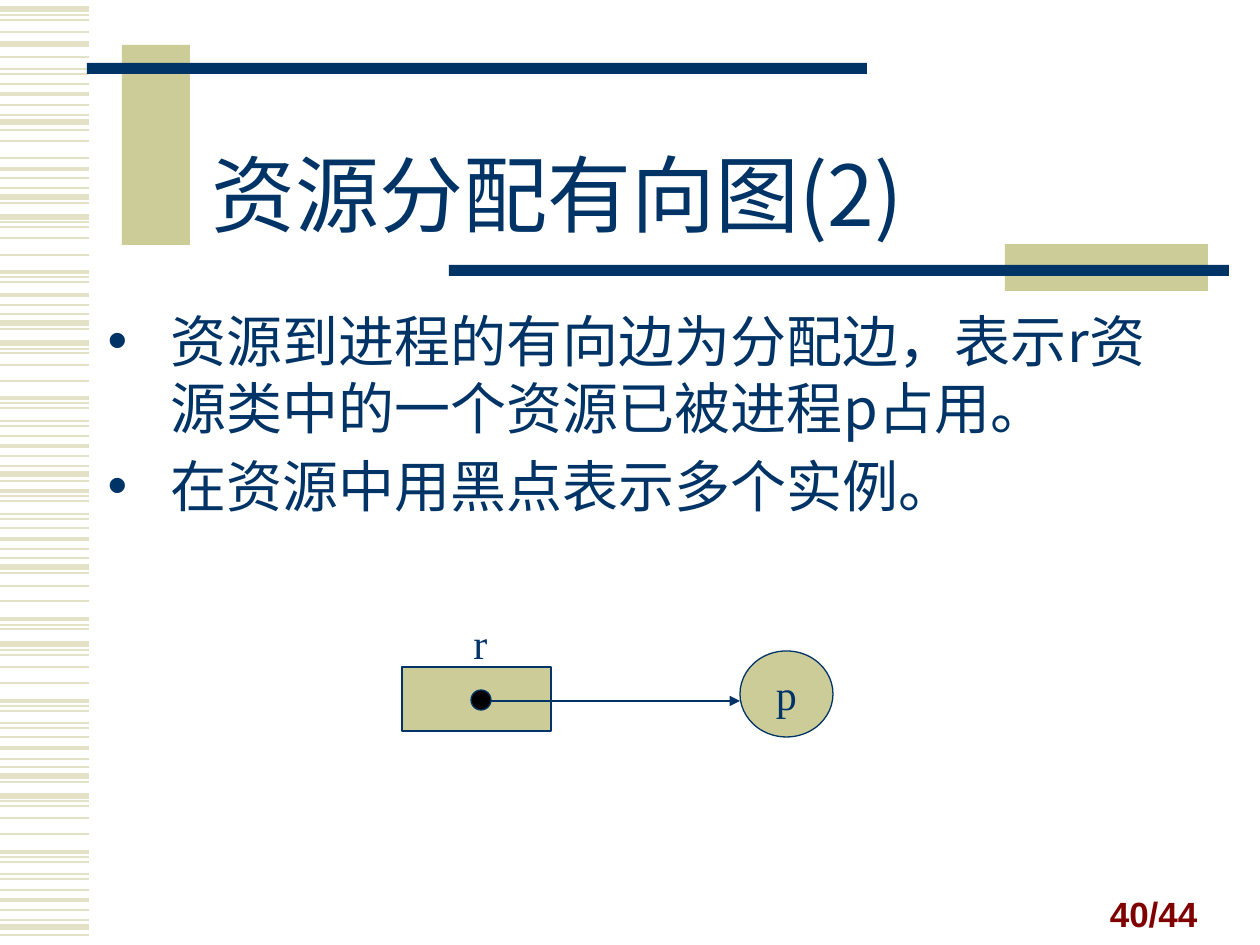
"""Build the slide on assignment edges in a resource allocation graph."""
import pptx
import pptx.util
import pptx.dml.color
import pptx.enum.shapes
import pptx.enum.text
import pptx.oxml.ns
from lxml import etree

SCALE = 914400 / 126
SHAPE = pptx.enum.shapes.MSO_SHAPE
ALIGN = pptx.enum.text.PP_ALIGN
ANCHOR = pptx.enum.text.MSO_ANCHOR
Pt = pptx.util.Pt

THEME = {
    "navy": "003366", "khaki": "CCCC99", "stripe": "E3E2C7",
    "black": "000000", "maroon": "800000",
    "title": 48, "body": 32, "label": 24, "number": 20,
    "outline": 0.75, "sans": "Noto Sans CJK SC",
    "serif": "Times New Roman", "plain": "Arial",
}

TITLE = "资源分配有向图(2)"
POINTS = [
    "资源到进程的有向边为分配边，表示r资源类中的一个资源已被进程p占用。",
    "在资源中用黑点表示多个实例。",
]
PAGE_NUMBER = "40/44"

STRIPE_WIDTH = 89
STRIPES = {
    0.75: [15, 69, 115, 188, 222, 277, 314, 349, 403, 421, 466, 496, 514, 558,
           625, 650, 706, 723, 767, 801, 857, 874, 920],
    1: [20, 32, 84, 141, 158, 227, 238, 255, 353, 365, 381, 436, 528, 586,
        601, 655, 667, 683, 737, 806, 818, 834, 890],
    1.5: [57, 74, 105, 130, 178, 203, 282, 305, 329, 408, 426, 456, 481, 501,
          519, 549, 573, 629, 711, 728, 759, 782, 862, 879, 910, 935],
    2.25: [94, 169, 272, 295, 398, 446, 491, 539, 619, 701, 748, 852, 900],
    3: [9, 44, 122, 197, 217, 323, 343, 474, 567, 644, 776, 796, 927],
}
BARS = [
    ((122, 45, 68, 200), "khaki"),
    ((87, 63, 780, 11), "navy"),
    ((1005, 244, 203, 47), "khaki"),
    ((449, 265, 780, 11), "navy"),
]
PROCESS = (740, 651, 93, 86)
RESOURCE = (402, 667, 149, 64)
INSTANCE = (471, 690, 20, 20)
RESOURCE_LABEL = (461, 611, 39, 63)
EDGE = (491, 701, 740, 701)


def px(value):
    return round(value * SCALE)


def color(name):
    return pptx.dml.color.RGBColor.from_string(THEME[name])


def assign(target, values):
    for name, value in values.items():
        setattr(target, name, value)


def add_child(parent, tag, **attributes):
    return etree.SubElement(parent, pptx.oxml.ns.qn(tag), attributes)


def place(item, area):
    assign(item, dict(zip(("left", "top", "width", "height"), map(px, area))))


def write(item, lines, size, face, ink="navy", bold=False, frame=None, para=None):
    text = item.text_frame
    assign(text, {"word_wrap": True, "auto_size": pptx.enum.text.MSO_AUTO_SIZE.NONE,
                  "vertical_anchor": ANCHOR.TOP} | (frame or {}))
    for index, line in enumerate(lines):
        paragraph = text.add_paragraph() if index else text.paragraphs[0]
        assign(paragraph, {"alignment": ALIGN.LEFT} | (para or {}))
        span = paragraph.add_run()
        span.text = line
        assign(span.font, {"size": Pt(THEME[size]), "name": THEME[face], "bold": bold})
        span.font.color.rgb = color(ink)
        add_child(span.font._element, "a:ea", typeface=THEME[face])


def add_figure(page, kind, area, fill, outlined=True):
    figure = page.shapes.add_shape(kind, *map(px, area))
    figure.shadow.inherit = False
    figure.fill.solid()
    figure.fill.fore_color.rgb = color(fill)
    if outlined:
        figure.line.color.rgb = color("navy")
        figure.line.width = Pt(THEME["outline"])
    else:
        figure.line.fill.background()
    return figure


def add_line(page, ends, ink, weight):
    straight = pptx.enum.shapes.MSO_CONNECTOR.STRAIGHT
    line = page.shapes.add_connector(straight, *map(px, ends))
    line.line.color.rgb = color(ink)
    line.line.width = Pt(weight)
    add_child(line._element.spPr, "a:effectLst")
    return line


def add_background(page):
    for weight, heights in STRIPES.items():
        for y in heights:
            add_line(page, (0, y, STRIPE_WIDTH, y), "stripe", weight)
    for area, fill in BARS:
        add_figure(page, SHAPE.RECTANGLE, area, fill, outlined=False)


def add_text(page):
    title, body = page.placeholders
    place(title, (199, 126, 877, 113))
    write(title, [TITLE], "title", "sans", frame={"margin_top": px(16)},
          para={"line_spacing": Pt(58)})
    place(body, (95, 294, 1105, 229))
    write(body, POINTS, "body", "sans", frame={"margin_top": px(12)},
          para={"line_spacing": Pt(38.5), "space_before": Pt(6)})
    for paragraph in body.text_frame.paragraphs:
        settings = paragraph._p.get_or_add_pPr()
        settings.set("marL", str(px(63)))
        settings.set("indent", str(px(-63)))
        add_child(settings, "a:buFont", typeface=THEME["plain"])
        add_child(settings, "a:buChar", char="•")
    number = page.shapes.add_textbox(*map(px, (908, 878, 302, 63)))
    write(number, [PAGE_NUMBER], "number", "plain", "maroon", bold=True,
          frame={"vertical_anchor": ANCHOR.BOTTOM}, para={"alignment": ALIGN.RIGHT})


def add_graph(page):
    process = add_figure(page, SHAPE.OVAL, PROCESS, "khaki")
    write(process, ["p"], "label", "serif",
          frame={"vertical_anchor": ANCHOR.MIDDLE}, para={"alignment": ALIGN.CENTER})
    add_figure(page, SHAPE.RECTANGLE, RESOURCE, "khaki")
    label = page.shapes.add_textbox(*map(px, RESOURCE_LABEL))
    write(label, ["r"], "label", "serif", frame={"word_wrap": False})
    edge = add_line(page, EDGE, "navy", THEME["outline"])
    add_child(edge.line._get_or_add_ln(), "a:tailEnd", type="triangle")
    add_figure(page, SHAPE.OVAL, INSTANCE, "black")


def main():
    deck = pptx.Presentation()
    assign(deck, {"slide_width": px(1260), "slide_height": px(945)})
    page = deck.slides.add_slide(deck.slide_layouts[1])
    add_background(page)
    add_text(page)
    add_graph(page)
    deck.save("out.pptx")


if __name__ == "__main__":
    main()
